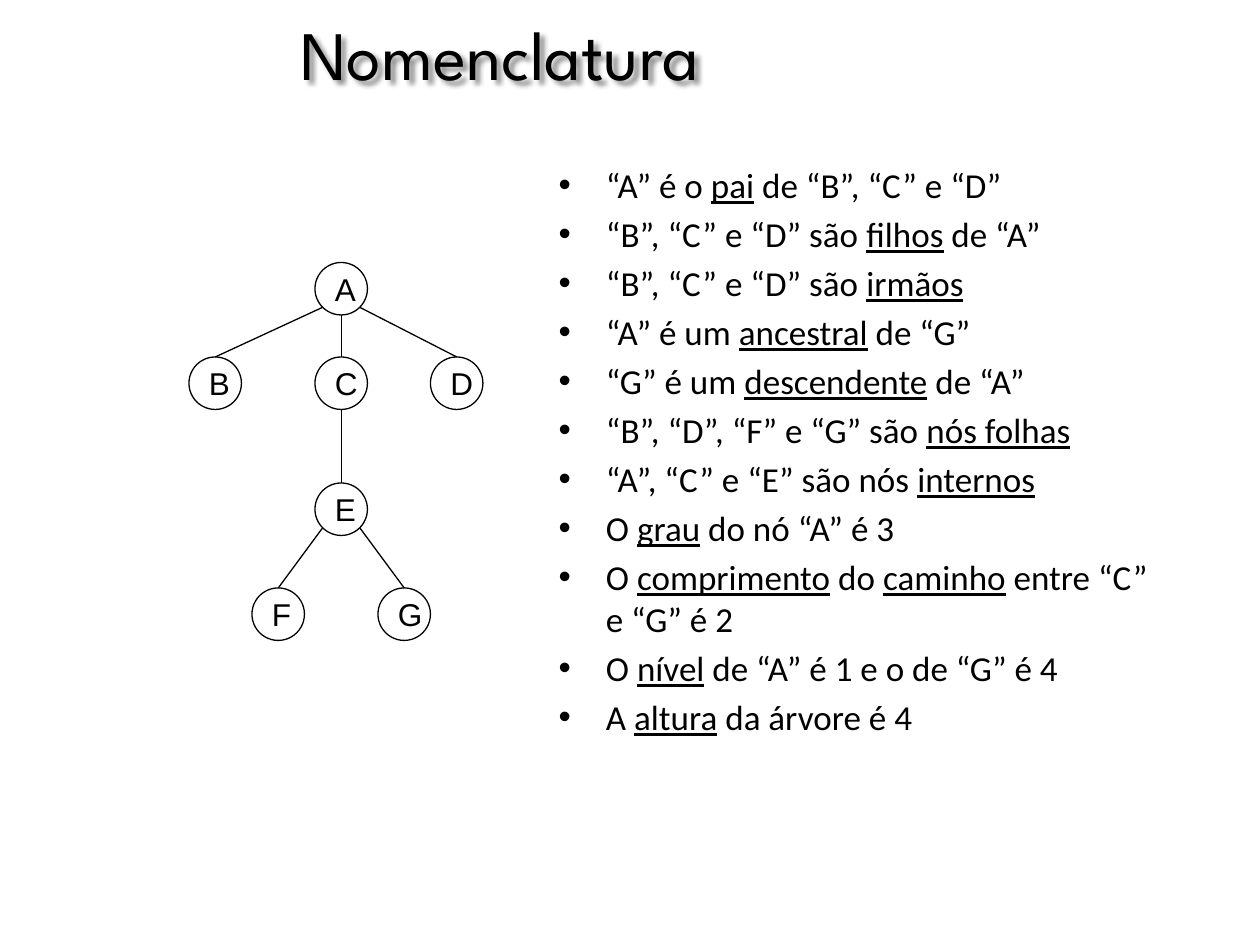
from lxml.etree import SubElement
from pptx import Presentation
from pptx.dml.color import RGBColor
from pptx.enum.shapes import MSO_CONNECTOR, MSO_SHAPE
from pptx.enum.text import MSO_ANCHOR, MSO_AUTO_SIZE, PP_ALIGN
from pptx.oxml.ns import qn
from pptx.util import Pt

SCALE = 7620  # EMU per px, 120 px to the inch
COLORS = {"ink": "000000", "shadow": "000000"}
NODE_SIZE = 50
TOP_SITE = 0

# Left and top of each node within the tree box
NODES = {
    "A": (120, 0),
    "B": (0, 90),
    "C": (120, 90),
    "D": (230, 90),
    "E": (120, 210),
    "F": (60, 310),
    "G": (180, 310),
}
EDGES = ["AB", "AC", "AD", "CE", "EF", "EG"]

# Underscores enclose the underlined terms
FACTS = [
    "“A” é o _pai_ de “B”, “C” e “D”",
    "“B”, “C” e “D” são _filhos_ de “A”",
    "“B”, “C” e “D” são _irmãos_",
    "“A” é um _ancestral_ de “G”",
    "“G” é um _descendente_ de “A”",
    "“B”, “D”, “F” e “G” são _nós folhas_",
    "“A”, “C” e “E” são nós _internos_",
    "O _grau_ do nó “A” é 3",
    "O _comprimento_ do _caminho_ entre “C” e “G” é 2",
    "O _nível_ de “A” é 1 e o de “G” é 4",
    "A _altura_ da árvore é 4",
]


def px(value):
    return round(value * SCALE)


def color(name):
    return RGBColor.from_string(COLORS[name])


def place(shape, box):
    shape.left, shape.top, shape.width, shape.height = map(px, box)


def style(para, font_name, size):
    para.font.name = font_name
    para.font.size = Pt(size)
    para.font.color.rgb = color("ink")


def add_soft_shadow(shape):
    effects = SubElement(shape.element.spPr, qn("a:effectLst"))
    shadow = SubElement(effects, qn("a:outerShdw"), blurRad="38100",
                        dist="38100", dir="2700000", algn="tl")
    tint = SubElement(shadow, qn("a:srgbClr"), val=COLORS["shadow"])
    SubElement(tint, qn("a:alpha"), val="43000")


def fill_title(page, box):
    title = page.shapes.title
    place(title, box)
    add_soft_shadow(title)
    frame = title.text_frame
    frame.text = "Nomenclatura"
    frame.auto_size = MSO_AUTO_SIZE.NONE
    frame.vertical_anchor = MSO_ANCHOR.MIDDLE
    para = frame.paragraphs[0]
    para.alignment = PP_ALIGN.CENTER
    style(para, "League Spartan", 39.6)


def fill_facts(page, box):
    body = page.placeholders[1]
    place(body, box)
    frame = body.text_frame
    frame.auto_size = MSO_AUTO_SIZE.NONE
    for index, fact in enumerate(FACTS):
        para = frame.add_paragraph() if index else frame.paragraphs[0]
        style(para, "Calibri", 20)
        for part, words in enumerate(fact.split("_")):
            if words:
                span = para.add_run()
                span.text = words
                if part % 2:
                    span.font.underline = True


def add_node(page, label, left, top):
    node = page.shapes.add_shape(MSO_SHAPE.OVAL, px(left), px(top),
                                 px(NODE_SIZE), px(NODE_SIZE))
    node.shadow.inherit = False
    node.fill.background()
    node.line.color.rgb = color("ink")
    node.line.width = Pt(0.75)
    frame = node.text_frame
    frame.text = label
    frame.word_wrap = False
    frame.vertical_anchor = MSO_ANCHOR.MIDDLE
    para = frame.paragraphs[0]
    para.alignment = PP_ALIGN.LEFT
    style(para, "Arial", 18)
    return node


def add_edge(page, parent, child):
    # Leave the parent at its bottom, or on the diagonal towards the child
    radius = parent.width / 2
    side = (child.left > parent.left) - (child.left < parent.left)
    reach = radius * 0.5 ** 0.5
    start_x = round(parent.left + radius + side * reach)
    start_y = round(parent.top + radius + (reach if side else radius))
    edge = page.shapes.add_connector(MSO_CONNECTOR.STRAIGHT, start_x, start_y,
                                     child.left + child.width // 2, child.top)
    edge.end_connect(child, TOP_SITE)
    edge.line.color.rgb = color("ink")
    edge.line.width = Pt(0.75)
    SubElement(edge.element.spPr, qn("a:effectLst"))


def draw_tree(page, left, top):
    nodes = {label: add_node(page, label, left + x, top + y)
             for label, (x, y) in NODES.items()}
    for parent, child in EDGES:
        add_edge(page, nodes[parent], nodes[child])


def main():
    deck = Presentation()
    deck.slide_width, deck.slide_height = px(1200), px(900)
    page = deck.slides.add_slide(deck.slide_layouts[1])
    fill_title(page, (-34, 20, 1020, 60))
    fill_facts(page, (520, 150, 590, 650))
    draw_tree(page, 180, 250)
    deck.save("out.pptx")


if __name__ == "__main__":
    main()
